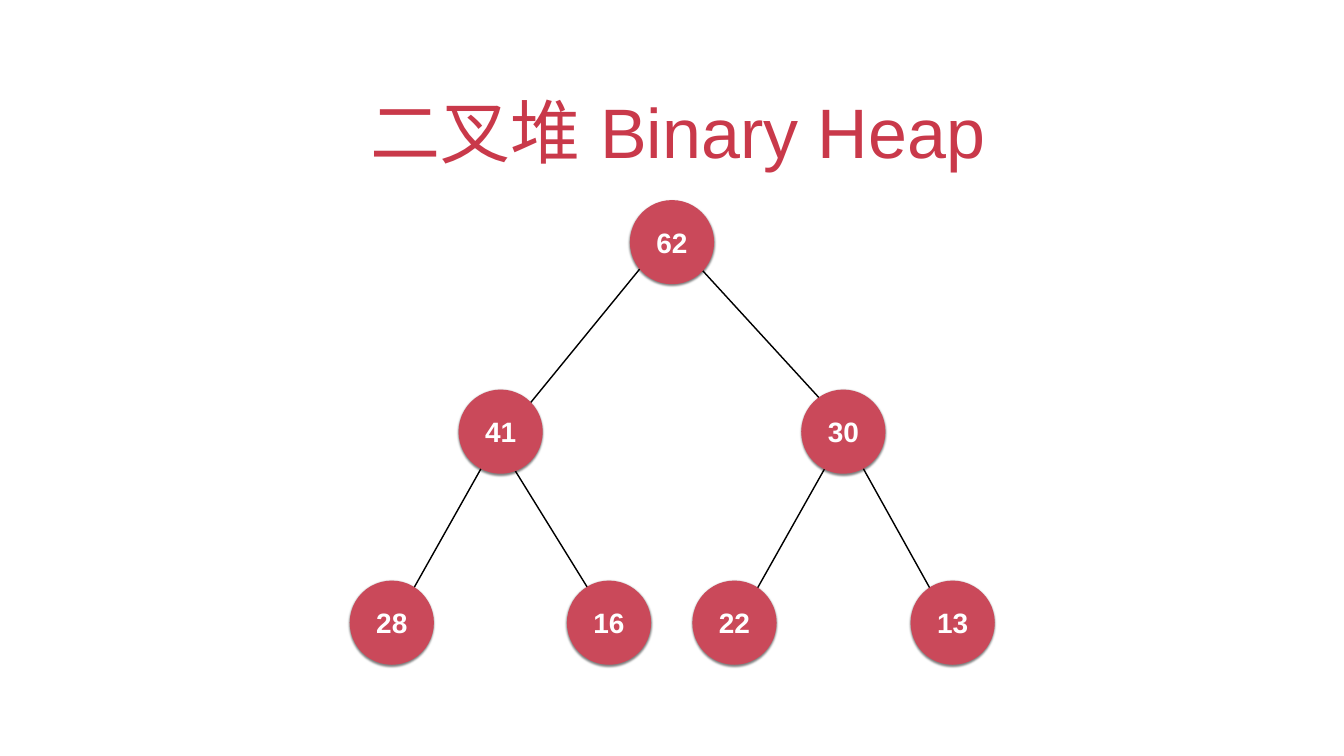
from dataclasses import dataclass

from lxml.etree import SubElement
from pptx import Presentation
from pptx.dml.color import RGBColor as Rgb
from pptx.enum.shapes import MSO_CONNECTOR as Connector, MSO_SHAPE as Shape
from pptx.enum.text import MSO_ANCHOR as Anchor, PP_ALIGN as Align
from pptx.oxml.ns import qn
from pptx.util import Pt

PX = 9144  # 100 px to the inch
EMU_PER_POINT = 12700


@dataclass(frozen=True)
class Theme:
    font: str = "Arial"
    title_color: str = "C9394A"
    node_fill: str = "CA495A"
    node_text: str = "FFFFFF"
    edge: str = "000000"
    shadow: str = "000000"
    title_size: int = 100
    node_size: int = 40
    edge_width: int = 2
    inset: int = 6


def write_text(frame, text, *, size, color, font, inset, bold=False,
               anchor=Anchor.MIDDLE, first_indent=0):
    frame.word_wrap = True
    frame.vertical_anchor = anchor
    frame.margin_left = frame.margin_right = inset * PX
    frame.margin_top = frame.margin_bottom = inset * PX
    para = frame.paragraphs[0]
    para.alignment = Align.CENTER
    if first_indent:
        para._p.get_or_add_pPr().set("indent", str(first_indent * PX))
    span = para.add_run()
    span.text = text
    span.font.name = font
    span.font.size = Pt(size)
    span.font.bold = bold
    span.font.color.rgb = Rgb.from_string(color)
    SubElement(span.font._element, qn("a:ea"), typeface=font)


class HeapSlide:
    def __init__(self, page, theme):
        self.page = page
        self.theme = theme

    def title(self, text, left, top, width, height):
        box = self.page.shapes.add_textbox(left * PX, top * PX, width * PX, height * PX)
        write_text(box.text_frame, text, size=self.theme.title_size,
                   color=self.theme.title_color, font=self.theme.font,
                   inset=self.theme.inset, anchor=Anchor.BOTTOM, first_indent=25)

    def edge(self, *ends):
        line = self.page.shapes.add_connector(
            Connector.STRAIGHT, *(end * PX for end in ends))
        line.line.color.rgb = Rgb.from_string(self.theme.edge)
        line.line.width = Pt(self.theme.edge_width)
        SubElement(line._element.spPr, qn("a:effectLst"))

    def node(self, value, left, top, diameter):
        circle = self.page.shapes.add_shape(
            Shape.OVAL, left * PX, top * PX, diameter * PX, diameter * PX)
        circle.fill.solid()
        circle.fill.fore_color.rgb = Rgb.from_string(self.theme.node_fill)
        circle.line.fill.background()
        self.drop_shadow(circle)
        write_text(circle.text_frame, str(value), size=self.theme.node_size,
                   color=self.theme.node_text, font=self.theme.font,
                   inset=self.theme.inset, bold=True)

    def drop_shadow(self, shape):
        """Cast a soft half-transparent shadow straight down."""
        shape.shadow.inherit = False
        effects = shape._element.spPr.find(qn("a:effectLst"))
        shadow = SubElement(effects, qn("a:outerShdw"),
                            blurRad=str(3 * EMU_PER_POINT),
                            dist=str(2 * EMU_PER_POINT),
                            dir=str(90 * 60000), rotWithShape="0")
        color = SubElement(shadow, qn("a:srgbClr"), val=self.theme.shadow)
        SubElement(color, qn("a:alpha"), val="50000")


NODE_DIAMETER = 167
# Each level: its top, then the value and left of every node
LEVELS = [
    (397, [(62, 1250)]),
    (773, [(41, 910), (30, 1590)]),
    (1152, [(28, 694), (16, 1125), (22, 1374), (13, 1807)]),
]
# The ends lie under the circles: x, y to x, y
EDGES = [
    (1692, 862, 1343, 481),
    (990, 876, 1324, 467),
    (1462, 1240, 1673, 865),
    (1208, 1234, 984, 872),
    (1892, 1251, 1671, 854),
    (780, 1240, 991, 865),
]


def main():
    deck = Presentation()
    deck.slide_width = 2667 * PX
    deck.slide_height = 1500 * PX
    slide = HeapSlide(deck.slides.add_slide(deck.slide_layouts[6]), Theme())
    for ends in EDGES:
        slide.edge(*ends)
    slide.title("二叉堆 Binary Heap", 194, 127, 2278, 222)
    for top, nodes in LEVELS:
        for value, left in nodes:
            slide.node(value, left, top, NODE_DIAMETER)
    deck.save("out.pptx")


if __name__ == "__main__":
    main()
